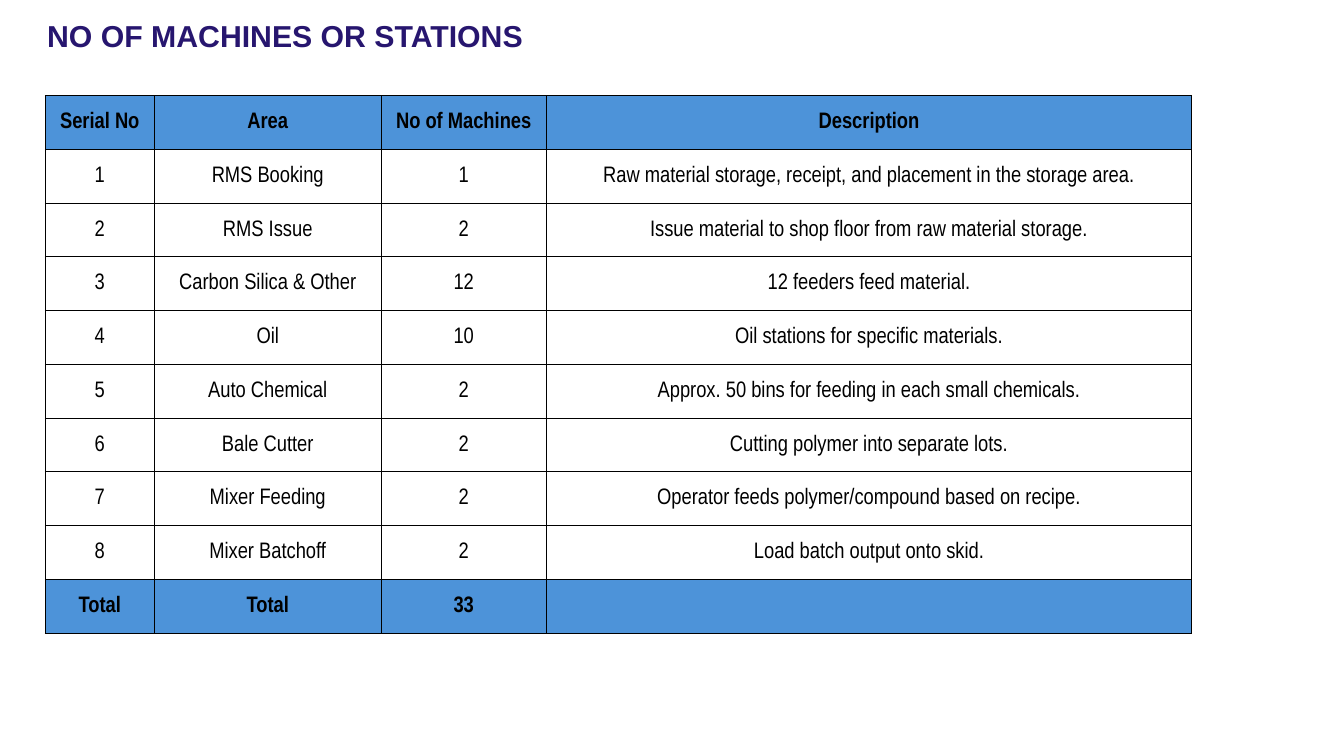
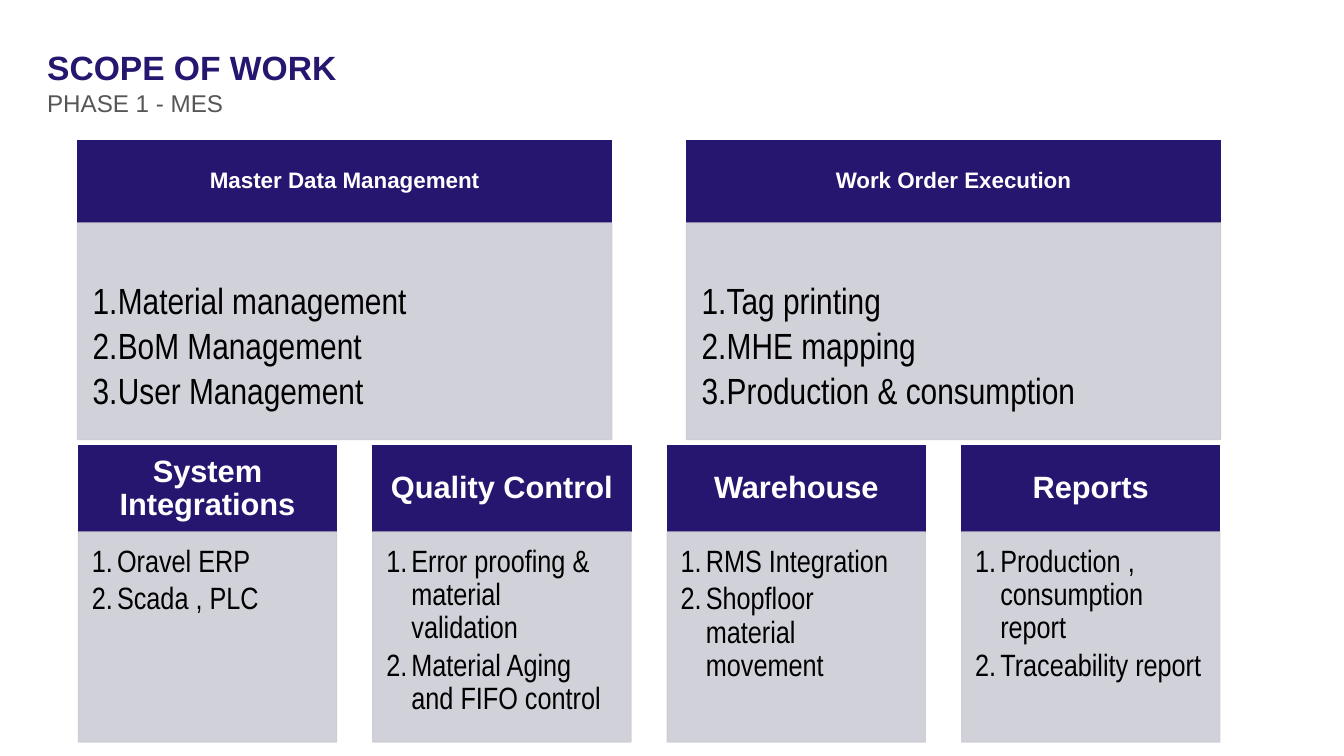
"""Build a two-slide deck: a machine table and a scope-of-work card grid."""
from lxml import etree
from pptx import Presentation
from pptx.dml.color import RGBColor
from pptx.enum.shapes import MSO_SHAPE
from pptx.enum.text import MSO_ANCHOR, PP_ALIGN
from pptx.oxml.ns import qn
from pptx.util import Pt

RECTANGLE = MSO_SHAPE.RECTANGLE
TOP, MIDDLE = MSO_ANCHOR.TOP, MSO_ANCHOR.MIDDLE
LEFT, CENTER = PP_ALIGN.LEFT, PP_ALIGN.CENTER

NAVY = RGBColor(0x27, 0x16, 0x6F)
BLUE = RGBColor(0x4D, 0x93, 0xD9)
PALE = RGBColor(0xCD, 0xCC, 0xD5)
GREY = RGBColor(0x57, 0x56, 0x56)
WHITE = RGBColor(0xFF, 0xFF, 0xFF)
BLACK = RGBColor(0x00, 0x00, 0x00)

SANS, NARROW = "Arial", "Arial Narrow"

COLUMN_WIDTHS = (78, 162, 118, 461)
ROW_HEIGHT = 38.4
MACHINE_ROWS = (
    ("Serial No", "Area", "No of Machines", "Description"),
    ("1", "RMS Booking", "1", "Raw material storage, receipt, and placement in the storage area."),
    ("2", "RMS Issue", "2", "Issue material to shop floor from raw material storage."),
    ("3", "Carbon Silica & Other", "12", "12 feeders feed material."),
    ("4", "Oil", "10", "Oil stations for specific materials."),
    ("5", "Auto Chemical", "2", "Approx. 50 bins for feeding in each small chemicals."),
    ("6", "Bale Cutter", "2", "Cutting polymer into separate lots."),
    ("7", "Mixer Feeding", "2", "Operator feeds polymer/compound based on recipe."),
    ("8", "Mixer Batchoff", "2", "Load batch output onto skid."),
    ("Total", "Total", "33", ""),
)

MAIN_CARDS = (
    ("Master Data Management", ("Material management", "BoM Management", "User Management")),
    ("Work Order Execution", ("Tag printing", "MHE mapping", "Production & consumption")),
)
SUPPORT_CARDS = (
    ("System Integrations", ("Oravel ERP", "Scada , PLC")),
    ("Quality Control", ("Error proofing & material validation", "Material Aging and FIFO control")),
    ("Warehouse", ("RMS Integration", "Shopfloor material movement")),
    ("Reports", ("Production , consumption report", "Traceability report")),
)
MAIN_STYLE = {
    "left": 55.4, "top": 100.4, "width": 381.6, "step": 434.9,
    "header_height": 58.8, "panel_height": 154.8, "header_size": 16, "item_size": 26,
    "panel_insets": (10.8, 43, 14.4, 16),
}
SUPPORT_STYLE = {
    "left": 56, "top": 318.2, "width": 184.4, "step": 210.3,
    "header_height": 61.8, "panel_height": 150, "header_size": 22, "item_size": 22,
    "panel_insets": (9.6, 9.6, 12.4, 13.6),
}


def apply(target, formats):
    """Set every attribute named in a dict of format values."""
    for name, value in formats.items():
        setattr(target, name, value)


def set_insets(target, insets):
    """Set the left, top, right and bottom text margins."""
    names = ("margin_left", "margin_top", "margin_right", "margin_bottom")
    apply(target, {name: Pt(inset) for name, inset in zip(names, insets)})


def add_span(para, text, size, color, font=SANS, bold=False):
    """Add one formatted run to a paragraph."""
    span = para.add_run()
    span.text = text
    apply(span.font, {"name": font, "size": Pt(size), "bold": bold})
    span.font.color.rgb = color


def add_line_of_text(page, text, top, size, color, anchor, bold=False):
    """Add a full-width heading line."""
    box = page.shapes.add_textbox(Pt(26.6), Pt(top), Pt(757.4), Pt(24))
    apply(box.text_frame, {"word_wrap": True, "vertical_anchor": anchor})
    set_insets(box.text_frame, (7.2, 3.6, 7.2, 3.6))
    add_span(box.text_frame.paragraphs[0], text, size, color, bold=bold)


def add_title(page, text, top, size):
    """Add a slide title."""
    add_line_of_text(page, text, top, size, NAVY, MIDDLE, bold=True)


def add_block(page, left, top, width, height, color, anchor, insets):
    """Add a filled rectangle and return it."""
    block = page.shapes.add_shape(RECTANGLE, Pt(left), Pt(top), Pt(width), Pt(height))
    block.shadow.inherit = False
    block.fill.solid()
    block.fill.fore_color.rgb = color
    block.line.color.rgb = color
    block.line.width = Pt(0.85)
    apply(block.text_frame, {"word_wrap": True, "vertical_anchor": anchor})
    set_insets(block.text_frame, insets)
    return block


def set_opacity(block, percent):
    """Make the fill and line of a shape partly transparent."""
    for color in block.fill._xPr.iter(qn("a:srgbClr")):
        etree.SubElement(color, qn("a:alpha")).set("val", str(percent * 1000))


def number_paragraph(para, indent):
    """Give a paragraph an automatic number with a hanging indent."""
    properties = para._p.get_or_add_pPr()
    properties.set("marL", str(Pt(indent)))
    properties.set("indent", str(-Pt(indent)))
    etree.SubElement(properties, qn("a:buAutoNum")).set("type", "arabicPeriod")


def add_card(page, left, heading, items, style):
    """Add a heading block with a numbered list panel below it."""
    top, width, header_height = style["top"], style["width"], style["header_height"]
    header = add_block(page, left, top, width, header_height, NAVY, MIDDLE, (8, 5, 8, 5))
    para = header.text_frame.paragraphs[0]
    apply(para, {"alignment": CENTER, "line_spacing": 0.9})
    add_span(para, heading, style["header_size"], WHITE, bold=True)

    panel = add_block(page, left, top + header_height, width, style["panel_height"],
                      PALE, TOP, style["panel_insets"])
    set_opacity(panel, 90)
    size = style["item_size"]
    for index, item in enumerate(items):
        frame = panel.text_frame
        para = frame.add_paragraph() if index else frame.paragraphs[0]
        number_paragraph(para, 18)
        apply(para, {"alignment": LEFT, "line_spacing": 0.9, "space_after": Pt(0.15 * size)})
        add_span(para, item, size, BLACK, NARROW)


def add_card_row(page, cards, style):
    """Add evenly spaced cards."""
    for index, (heading, items) in enumerate(cards):
        add_card(page, style["left"] + index * style["step"], heading, items, style)


def set_borders(cell, width, color):
    """Draw all four borders of a table cell."""
    properties = cell._tc.get_or_add_tcPr()
    for side in ("a:lnL", "a:lnR", "a:lnT", "a:lnB"):
        border = etree.SubElement(properties, qn(side), w=str(Pt(width)))
        fill = etree.SubElement(border, qn("a:solidFill"))
        etree.SubElement(fill, qn("a:srgbClr"), val=str(color))


def fill_cell(cell, text, strong):
    """Format one table cell, shaded and bold when strong."""
    set_borders(cell, 0.5, BLACK)
    if strong:
        cell.fill.solid()
        cell.fill.fore_color.rgb = BLUE
    else:
        cell.fill.background()
    cell.vertical_anchor = MIDDLE
    set_insets(cell, (0.7, 0.7, 0.7, 0))
    para = cell.text_frame.paragraphs[0]
    para.alignment = CENTER
    if text:
        add_span(para, text, 16, BLACK, NARROW, strong)


def add_machine_table(page):
    """Add the table of machines with shaded first and last rows."""
    last = len(MACHINE_ROWS) - 1
    frame = page.shapes.add_table(len(MACHINE_ROWS), len(COLUMN_WIDTHS), Pt(32.3), Pt(68.3),
                                  Pt(sum(COLUMN_WIDTHS)), Pt(ROW_HEIGHT * len(MACHINE_ROWS)))
    table = frame.table
    apply(table, {"first_row": False, "horz_banding": False})
    for column, width in zip(table.columns, COLUMN_WIDTHS):
        column.width = Pt(width)
    for row_index, values in enumerate(MACHINE_ROWS):
        table.rows[row_index].height = Pt(ROW_HEIGHT)
        for column_index, text in enumerate(values):
            fill_cell(table.cell(row_index, column_index), text, row_index in (0, last))


def main():
    """Build and save the deck."""
    deck = Presentation()
    apply(deck, {"slide_width": Pt(960), "slide_height": Pt(540)})
    blank = deck.slide_layouts[6]

    page = deck.slides.add_slide(blank)
    add_title(page, "NO OF MACHINES OR STATIONS", 13.6, 21.6)
    add_machine_table(page)

    page = deck.slides.add_slide(blank)
    add_title(page, "SCOPE OF WORK", 35.6, 24)
    add_line_of_text(page, "PHASE 1 - MES", 59.8, 17.3, GREY, TOP)
    add_card_row(page, MAIN_CARDS, MAIN_STYLE)
    add_card_row(page, SUPPORT_CARDS, SUPPORT_STYLE)

    deck.save("out.pptx")


if __name__ == "__main__":
    main()
